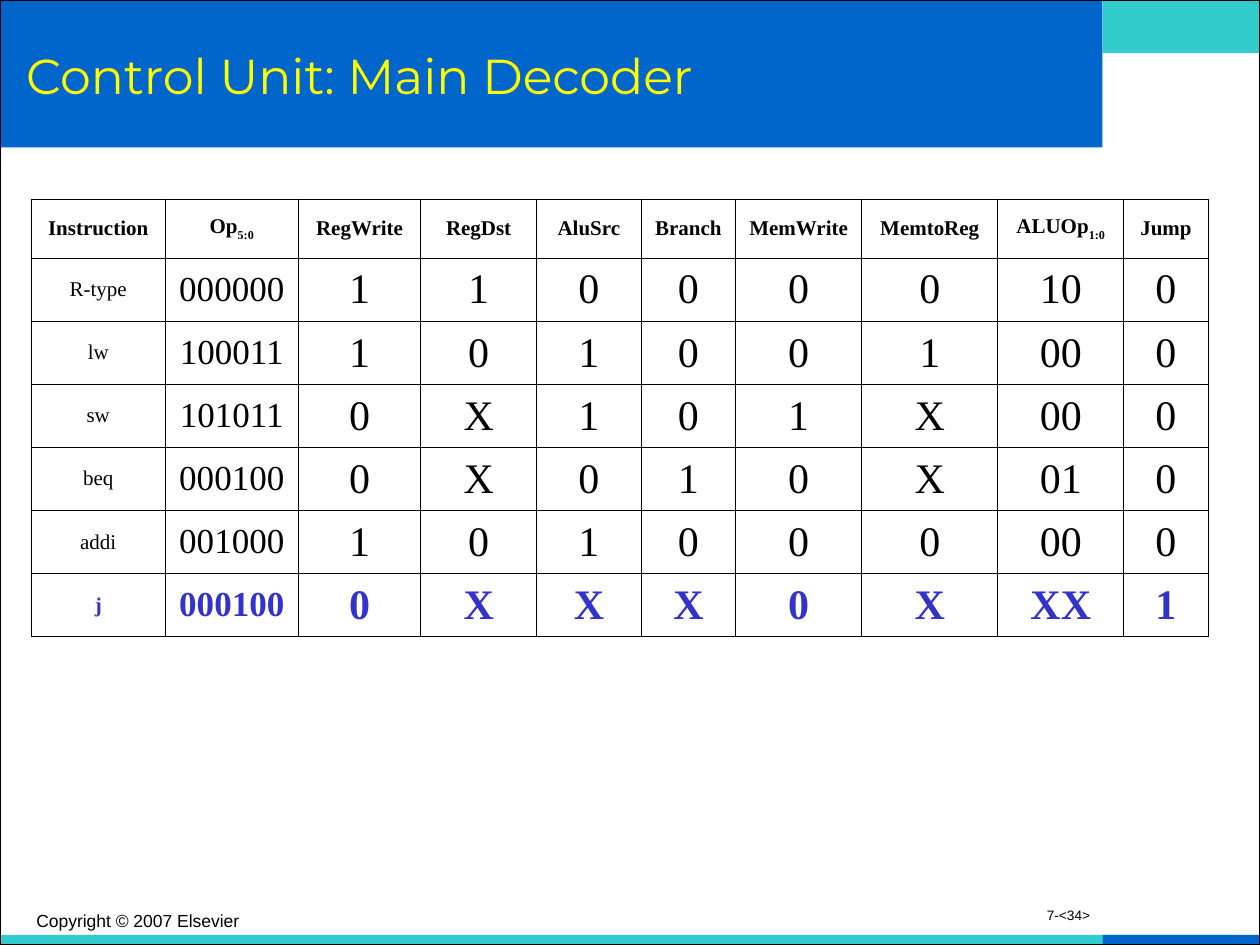
from dataclasses import dataclass

from lxml import etree
from pptx import Presentation
from pptx import util as u
from pptx.dml.color import RGBColor
from pptx.enum import shapes, text
from pptx.oxml.ns import qn
from pptx.slide import Slide

HEADERS = [("Instruction", ""), ("Op", "5:0"), ("RegWrite", ""), ("RegDst", ""),
           ("AluSrc", ""), ("Branch", ""), ("MemWrite", ""), ("MemtoReg", ""),
           ("ALUOp", "1:0"), ("Jump", "")]
INSTRUCTIONS = [
    "R-type 000000 1 1 0 0 0 0 10 0",
    "lw 100011 1 0 1 0 0 1 00 0",
    "sw 101011 0 X 1 0 1 X 00 0",
    "beq 000100 0 X 0 1 0 X 01 0",
    "addi 001000 1 0 1 0 0 0 00 0",
    "j 000100 0 X X X 0 X XX 1",
]
COLUMN_WIDTHS = [1.06, 1.06, 0.97, 0.92, 0.83, 0.75, 1, 1.08, 1, 0.67]
ROW_HEIGHTS = [0.47] + [0.5] * len(INSTRUCTIONS)
BODY_SIZES = [12, 20] + [24] * 8


def color(value):
    return RGBColor.from_string(value)


@dataclass
class SlideBuilder:
    page: Slide
    blue: str = "0066CC"
    teal: str = "33CCCC"
    yellow: str = "FFFF00"
    black: str = "000000"
    highlight: str = "3333CC"
    title_font: str = "Montserrat"
    table_font: str = "Times New Roman"
    footer_font: str = "Arial"

    def rectangle(self, left, top, width, height, fill=None, line=None):
        box = self.page.shapes.add_shape(
            shapes.MSO_SHAPE.RECTANGLE, u.Inches(left), u.Inches(top),
            u.Inches(width), u.Inches(height))
        box.shadow.inherit = False
        if fill:
            box.fill.solid()
            box.fill.fore_color.rgb = color(fill)
        else:
            box.fill.background()
        if line:
            box.line.color.rgb = color(line)
            box.line.width = u.Pt(0.75)
        else:
            box.line.fill.background()

    def style(self, para, font, size, shade, bold=False):
        para.font.name = font
        para.font.size = u.Pt(size)
        para.font.color.rgb = color(shade)
        para.font.bold = bold

    def label(self, left, top, width, height, words, font, size, shade,
              align=text.PP_ALIGN.LEFT, anchor=text.MSO_ANCHOR.TOP, spacing=1.0):
        box = self.page.shapes.add_textbox(
            u.Inches(left), u.Inches(top), u.Inches(width), u.Inches(height))
        frame = box.text_frame
        frame.word_wrap = True
        frame.vertical_anchor = anchor
        para = frame.paragraphs[0]
        para.text = words
        para.alignment = align
        para.line_spacing = spacing
        self.style(para, font, size, shade)

    def borders(self, cell):
        properties = cell._tc.get_or_add_tcPr()
        for side in ("a:lnL", "a:lnR", "a:lnT", "a:lnB"):
            line = etree.SubElement(properties, qn(side), w=str(u.Pt(0.45)))
            fill = etree.SubElement(line, qn("a:solidFill"))
            etree.SubElement(fill, qn("a:srgbClr"), val=self.black)

    def cell(self, cell, words, size, shade, bold, subscript=""):
        self.borders(cell)
        cell.fill.background()
        cell.vertical_anchor = text.MSO_ANCHOR.MIDDLE
        para = cell.text_frame.paragraphs[0]
        para.alignment = text.PP_ALIGN.CENTER
        self.style(para, self.table_font, size, shade, bold)
        para.add_run().text = words
        if subscript:
            span = para.add_run()
            span.text = subscript
            span._r.get_or_add_rPr().set("baseline", "-30000")

    def decoder_table(self, left, top):
        table = self.page.shapes.add_table(
            len(ROW_HEIGHTS), len(COLUMN_WIDTHS), u.Inches(left), u.Inches(top),
            u.Inches(sum(COLUMN_WIDTHS)), u.Inches(sum(ROW_HEIGHTS))).table
        table.first_row = False
        table.horz_banding = False
        for column, width in zip(table.columns, COLUMN_WIDTHS):
            column.width = u.Inches(width)
        for row, height in zip(table.rows, ROW_HEIGHTS):
            row.height = u.Inches(height)
        for column, (name, bits) in enumerate(HEADERS):
            self.cell(table.cell(0, column), name, 12, self.black, True, bits)
        for row, instruction in enumerate(INSTRUCTIONS, 1):
            is_jump = row == len(INSTRUCTIONS)
            shade = self.highlight if is_jump else self.black
            for column, value in enumerate(instruction.split()):
                self.cell(table.cell(row, column), value, BODY_SIZES[column],
                          shade, is_jump)


def main():
    deck = Presentation()
    deck.slide_width = u.Inches(10)
    deck.slide_height = u.Inches(7.5)
    slide = SlideBuilder(deck.slides.add_slide(deck.slide_layouts[6]))
    slide.rectangle(8.75, 0, 1.25, 0.42, slide.teal)
    slide.rectangle(0, 7.42, 9.83, 0.08, slide.teal)
    slide.rectangle(8.75, 7.42, 1.25, 0.08, slide.blue)
    slide.rectangle(0, 0, 8.75, 1.17, slide.blue)
    slide.rectangle(0, 0, 10, 7.5, line=slide.black)
    slide.label(0.11, 0.11, 8.5, 0.97, "Control Unit: Main Decoder",
                slide.title_font, 28, slide.yellow, anchor=text.MSO_ANCHOR.MIDDLE)
    slide.decoder_table(0.25, 1.58)
    slide.label(0.19, 7.17, 3.17, 0.25, "Copyright © 2007 Elsevier",
                slide.footer_font, 10, slide.black)
    slide.label(6.67, 7.17, 2.08, 0.25, "7-<34>", slide.footer_font, 7.8,
                slide.black, align=text.PP_ALIGN.RIGHT, spacing=0.8)
    deck.save("out.pptx")


if __name__ == "__main__":
    main()
